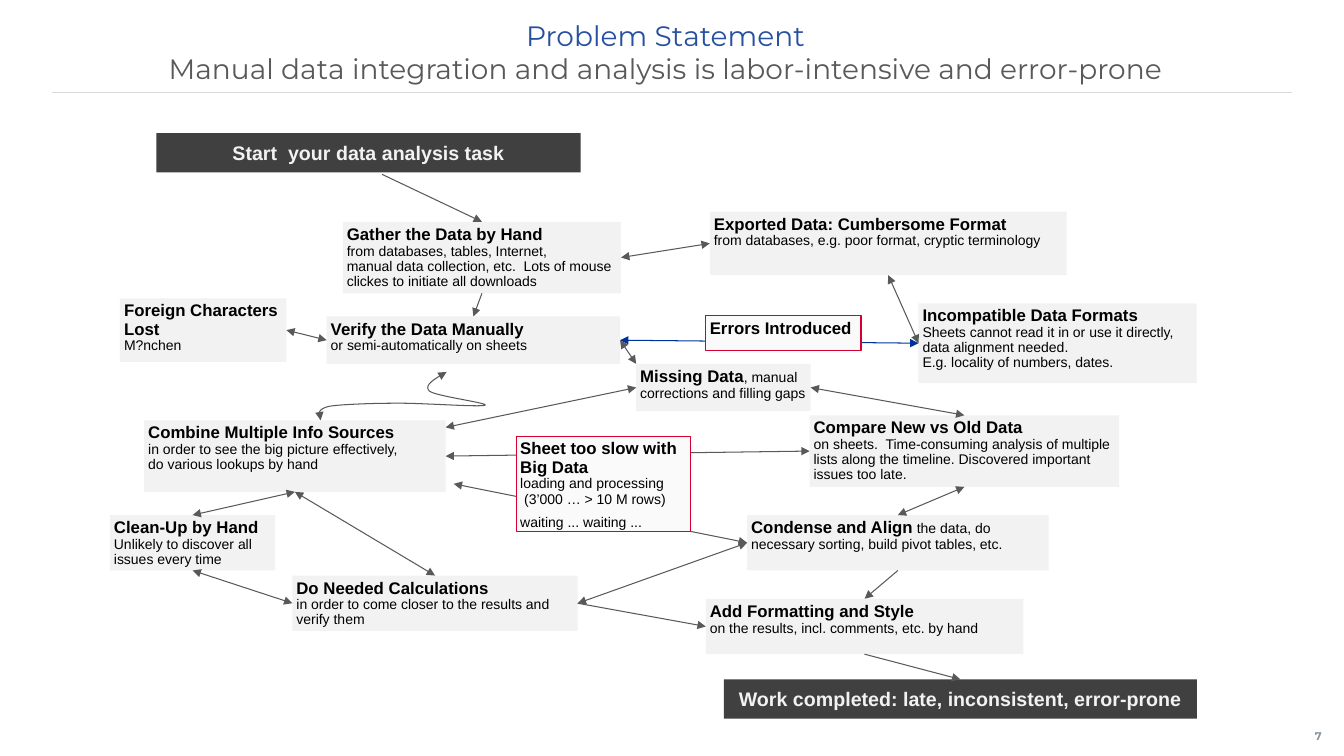
import copy
import enum
from dataclasses import dataclass
from typing import NamedTuple, Optional, Union

import lxml.etree
import pptx
import pptx.dml.color
import pptx.enum.shapes
import pptx.enum.text
import pptx.oxml.ns
import pptx.util

RGB = pptx.dml.color.RGBColor
Align = pptx.enum.text.PP_ALIGN
Anchoring = pptx.enum.text.MSO_ANCHOR
STRAIGHT = pptx.enum.shapes.MSO_CONNECTOR.STRAIGHT
RECTANGLE = pptx.enum.shapes.MSO_SHAPE.RECTANGLE

PX = 9144  # 100 px to the inch
TITLE_BLUE = RGB(0x28, 0x50, 0xA0)
LINK_BLUE = RGB(0x00, 0x33, 0x99)
DARK_GREY = RGB(0x59, 0x59, 0x59)
RULE_GREY = RGB(0xD9, 0xD9, 0xD9)
NUMBER_GREY = RGB(0x89, 0x96, 0xA0)
CHARCOAL = RGB(0x40, 0x40, 0x40)
PALE = RGB(0xF2, 0xF2, 0xF2)
NEAR_WHITE = RGB(0xFA, 0xFA, 0xFA)
RED = RGB(0xD5, 0x00, 0x32)
BLACK = RGB(0x00, 0x00, 0x00)


class Side(enum.IntEnum):
    """Connection sites of a rectangle."""
    TOP = 0
    LEFT = 1
    BOTTOM = 2
    RIGHT = 3


class Point(NamedTuple):
    x: int
    y: int


class Dock(NamedTuple):
    step: str
    side: Side


@dataclass(frozen=True)
class Step:
    key: str
    left: int
    top: int
    width: int
    height: int
    heading: str
    detail: str = ""
    closing: str = ""
    fill: RGB = PALE
    border: Optional[RGB] = None


@dataclass(frozen=True)
class Link:
    begin: Union[Point, Dock]
    end: Union[Point, Dock]
    two_way: bool = True
    colour: RGB = DARK_GREY


MILESTONES = [
    Step("start", 155, 132, 421, 39, "Start  your data analysis task", fill=CHARCOAL),
    Step("done", 718, 674, 469, 39, "Work completed: late, inconsistent, error-prone", fill=CHARCOAL),
]
STEPS = [
    Step("gather", 340, 220, 276, 71, "Gather the Data by Hand",
         "\nfrom databases, tables, Internet,\nmanual data collection, etc.  Lots of mouse "
         "clickes to initiate all downloads"),
    Step("verify", 324, 314, 291, 47, "Verify the Data Manually", "\nor semi-automatically on sheets"),
    Step("condense", 741, 511, 299, 55, "Condense and Align",
         " the data, do necessary sorting, build pivot tables, etc."),
    Step("exported", 704, 210, 354, 63, "Exported Data: Cumbersome Format",
         "\nfrom databases, e.g. poor format, cryptic terminology"),
    Step("format", 700, 594, 315, 55, "Add Formatting and Style",
         "\non the results, incl. comments, etc. by hand"),
    Step("compare", 803, 412, 307, 71, "Compare New vs Old Data",
         "\non sheets.  Time-consuming analysis of multiple lists along the timeline. "
         "Discovered important issues too late."),
    Step("foreign", 119, 296, 165, 63, "Foreign Characters\nLost", "\nM?nchen"),
    Step("incompatible", 911, 301, 276, 79, "Incompatible Data Formats",
         "\nSheets cannot read it in or use it directly, data alignment needed.\n"
         "E.g. locality of numbers, dates."),
    Step("combine", 143, 417, 299, 71, "Combine Multiple Info Sources",
         "\nin order to see the big picture effectively,\ndo various lookups by hand"),
    Step("missing", 631, 361, 173, 47, "Missing Data", ", manual corrections and filling gaps"),
    Step("calculate", 290, 571, 283, 55, "Do Needed Calculations",
         "\nin order to come closer to the results and verify them"),
    Step("clean", 109, 511, 164, 55, "Clean-Up by Hand",
         "\nUnlikely to discover all\nissues every time"),
]
PROBLEMS = [
    Step("slow", 512, 433, 173, 94, "Sheet too slow with Big Data",
         "\nloading and processing\n (3’000 … > 10 M rows)", "waiting ... waiting ...",
         NEAR_WHITE, RED),
    Step("errors", 700, 313, 154, 35, "Errors Introduced", fill=NEAR_WHITE, border=RED),
]
LINKS = [
    Link(Point(379, 173), Dock("gather", Side.TOP), two_way=False),
    Link(Dock("gather", Side.RIGHT), Dock("exported", Side.LEFT)),
    Link(Dock("gather", Side.BOTTOM), Dock("verify", Side.TOP), two_way=False),
    Link(Dock("exported", Side.BOTTOM), Dock("incompatible", Side.LEFT)),
    Link(Dock("verify", Side.RIGHT), Dock("incompatible", Side.LEFT), colour=LINK_BLUE),
    Link(Dock("combine", Side.RIGHT), Dock("compare", Side.LEFT)),
    Link(Dock("verify", Side.RIGHT), Point(631, 361)),
    Link(Dock("verify", Side.LEFT), Dock("foreign", Side.RIGHT)),
    Link(Dock("calculate", Side.RIGHT), Dock("condense", Side.LEFT)),
    Link(Dock("compare", Side.BOTTOM), Dock("condense", Side.TOP)),
    Link(Dock("combine", Side.BOTTOM), Dock("calculate", Side.TOP)),
    Link(Point(450, 480), Dock("condense", Side.LEFT)),
    Link(Dock("calculate", Side.RIGHT), Dock("format", Side.LEFT), two_way=False),
    Link(Dock("condense", Side.BOTTOM), Dock("format", Side.TOP), two_way=False),
    Link(Point(442, 424), Dock("missing", Side.LEFT)),
    Link(Dock("format", Side.BOTTOM), Dock("done", Side.TOP), two_way=False),
    Link(Dock("missing", Side.RIGHT), Dock("compare", Side.TOP)),
    Link(Dock("combine", Side.BOTTOM), Dock("clean", Side.TOP)),
    Link(Dock("calculate", Side.LEFT), Dock("clean", Side.BOTTOM)),
]
# Bezier knots: a start, then two controls and an end per segment
LOOP = [Point(*knot) for knot in (
    (443, 369), (431, 376), (420, 382), (426, 388), (432, 393), (486, 400), (481, 402),
    (476, 404), (422, 400), (397, 400), (371, 400), (340, 401), (327, 403),
    (314, 406), (316, 411), (318, 417))]


def write(paragraph, text: str, size: int, colour: RGB, bold=False, face="Arial") -> None:
    """Append text in one format; line breaks take that format too."""
    for index, line in enumerate(text.split("\n")):
        if index:
            paragraph.add_line_break()
        line_break = paragraph._p[-1] if index else None
        run = paragraph.add_run()
        run.text = line
        run.font.size, run.font.bold, run.font.name = pptx.util.Pt(size), bold, face
        run.font.color.rgb = colour
        if line_break is not None:
            line_break.append(copy.deepcopy(run._r.rPr))
        if not line:
            paragraph._p.remove(run._r)


def set_margins(frame, left: int, top: int, right: int, bottom: int) -> None:
    frame.margin_left, frame.margin_top = left * PX, top * PX
    frame.margin_right, frame.margin_bottom = right * PX, bottom * PX


def draw_step(slide, step: Step):
    box = slide.shapes.add_shape(RECTANGLE, step.left * PX, step.top * PX,
                                 step.width * PX, step.height * PX)
    box.shadow.inherit = False
    box.fill.solid()
    box.fill.fore_color.rgb = step.fill
    if step.border is None:
        box.line.fill.background()
    else:
        box.line.color.rgb, box.line.width = step.border, pptx.util.Pt(0.75)
    frame = box.text_frame
    set_margins(frame, 4, 4, 4, 4)
    heading = frame.paragraphs[0]
    if step.fill == CHARCOAL:
        frame.word_wrap, frame.vertical_anchor = False, Anchoring.MIDDLE
        heading.alignment = Align.CENTER
        write(heading, step.heading, 14, PALE, bold=True)
        return box
    frame.word_wrap, frame.vertical_anchor = True, Anchoring.TOP
    write(heading, step.heading, 12, BLACK, bold=True)
    if step.detail:
        write(heading, step.detail, 10, BLACK)
    if step.closing:
        closing = frame.add_paragraph()
        closing.space_before = pptx.util.Pt(3)
        write(closing, step.closing, 10, BLACK)
    for paragraph in frame.paragraphs:
        paragraph.alignment, paragraph.line_spacing = Align.LEFT, 0.9
        paragraph.space_after = pptx.util.Pt(3)
    return box


def style_line(line_shape, colour: RGB, width: float, ends: tuple = ()) -> None:
    line_shape.line.color.rgb, line_shape.line.width = colour, pptx.util.Pt(width)
    properties = line_shape._element.spPr
    outline = properties.find(pptx.oxml.ns.qn("a:ln"))
    for end in ends:
        lxml.etree.SubElement(outline, pptx.oxml.ns.qn(f"a:{end}"), type="triangle")
    if properties.find(pptx.oxml.ns.qn("a:effectLst")) is None:
        lxml.etree.SubElement(properties, pptx.oxml.ns.qn("a:effectLst"))


def draw_link(slide, link: Link, boxes: dict) -> None:
    begin, end = (place if isinstance(place, Point) else Point(0, 0)
                  for place in (link.begin, link.end))
    arrow = slide.shapes.add_connector(STRAIGHT, begin.x * PX, begin.y * PX, end.x * PX, end.y * PX)
    if isinstance(link.begin, Dock):
        arrow.begin_connect(boxes[link.begin.step], link.begin.side.value)
    if isinstance(link.end, Dock):
        arrow.end_connect(boxes[link.end.step], link.end.side.value)
    style_line(arrow, link.colour, 0.75, ("headEnd", "tailEnd") if link.two_way else ("tailEnd",))


def draw_loop(slide, knots: list, pieces: int = 16) -> None:
    outline = []
    for first in range(0, len(knots) - 1, 3):
        a, b, c, d = knots[first:first + 4]
        for piece in range(1, pieces + 1):
            t = piece / pieces
            weights = ((1 - t) ** 3, 3 * t * (1 - t) ** 2, 3 * t * t * (1 - t), t ** 3)
            outline.append(tuple(sum(w * k[axis] for w, k in zip(weights, (a, b, c, d))) * PX
                                 for axis in (0, 1)))
    builder = slide.shapes.build_freeform(knots[0].x * PX, knots[0].y * PX)
    builder.add_line_segments(outline, close=False)
    loop = builder.convert_to_shape()
    loop.fill.background()
    style_line(loop, DARK_GREY, 0.75, ("headEnd", "tailEnd"))


def main() -> None:
    deck = pptx.Presentation()
    deck.slide_width, deck.slide_height = 1333 * PX, 750 * PX
    slide = deck.slides.add_slide(deck.slide_layouts[6])

    # Title, rule and page number
    rule = slide.shapes.add_connector(STRAIGHT, 52 * PX, 92 * PX, 1281 * PX, 92 * PX)
    style_line(rule, RULE_GREY, 1)
    title = slide.shapes.add_textbox(51 * PX, 13 * PX, 1228 * PX, 79 * PX).text_frame
    title.word_wrap = True
    set_margins(title, 0, 5, 10, 5)
    title.paragraphs[0].alignment = Align.CENTER
    write(title.paragraphs[0], "Problem Statement", 20, TITLE_BLUE, face="Montserrat")
    write(title.paragraphs[0], "\nManual data integration and analysis is labor-intensive and error-prone",
          20, DARK_GREY, face="Montserrat")
    number = slide.shapes.add_textbox(1289 * PX, 711 * PX, 45 * PX, 39 * PX).text_frame
    number.word_wrap, number.vertical_anchor = False, Anchoring.MIDDLE
    set_margins(number, 0, 5, 8, 5)
    number.paragraphs[0].alignment = Align.CENTER
    write(number.paragraphs[0], "7", 8, NUMBER_GREY, bold=True, face="Montserrat")

    # Workflow: steps, their links, then the problems lying over the links
    boxes = {step.key: draw_step(slide, step) for step in MILESTONES + STEPS}
    for link in LINKS:
        draw_link(slide, link, boxes)
    draw_loop(slide, LOOP)
    for problem in PROBLEMS:
        draw_step(slide, problem)

    deck.save("out.pptx")


if __name__ == "__main__":
    main()
